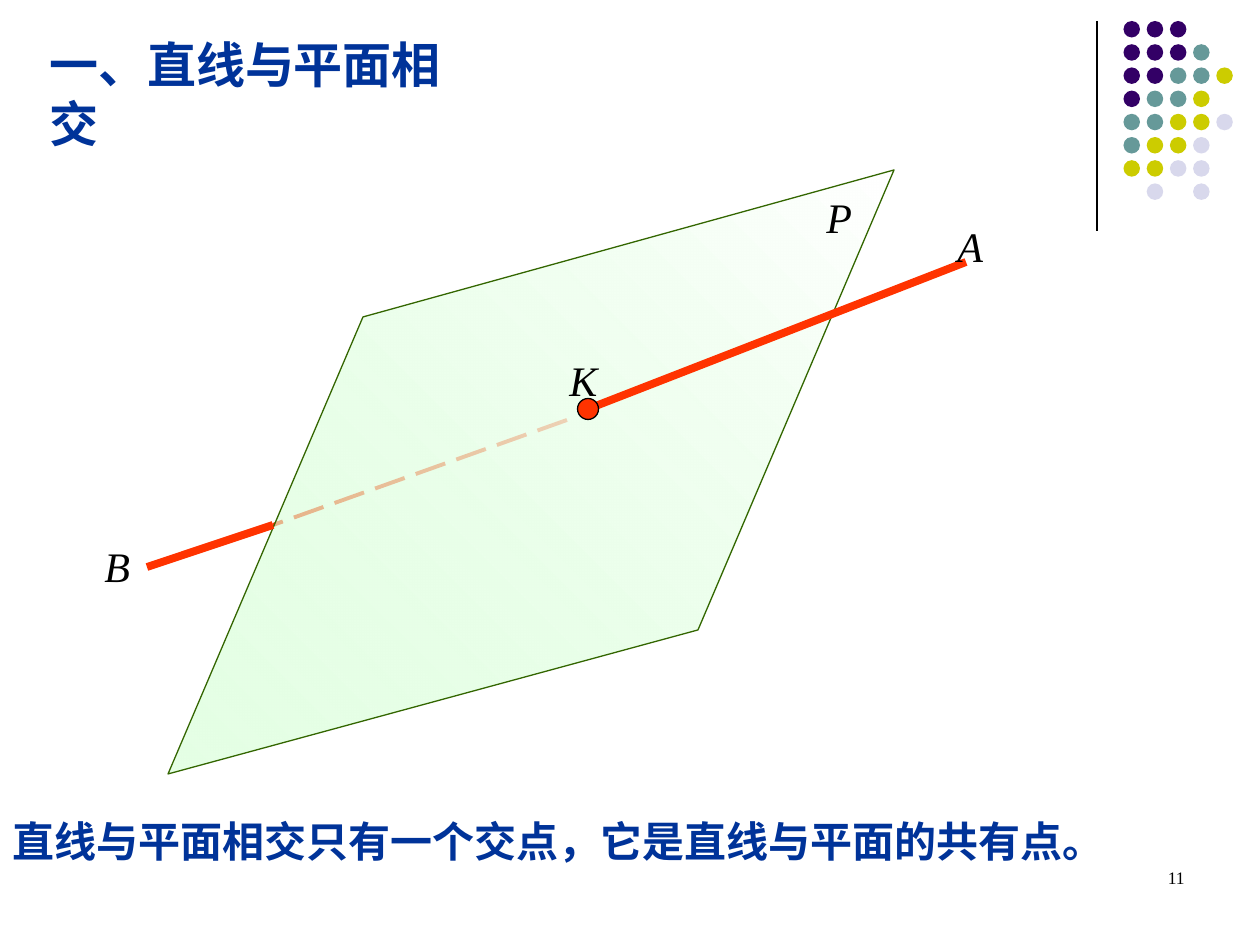
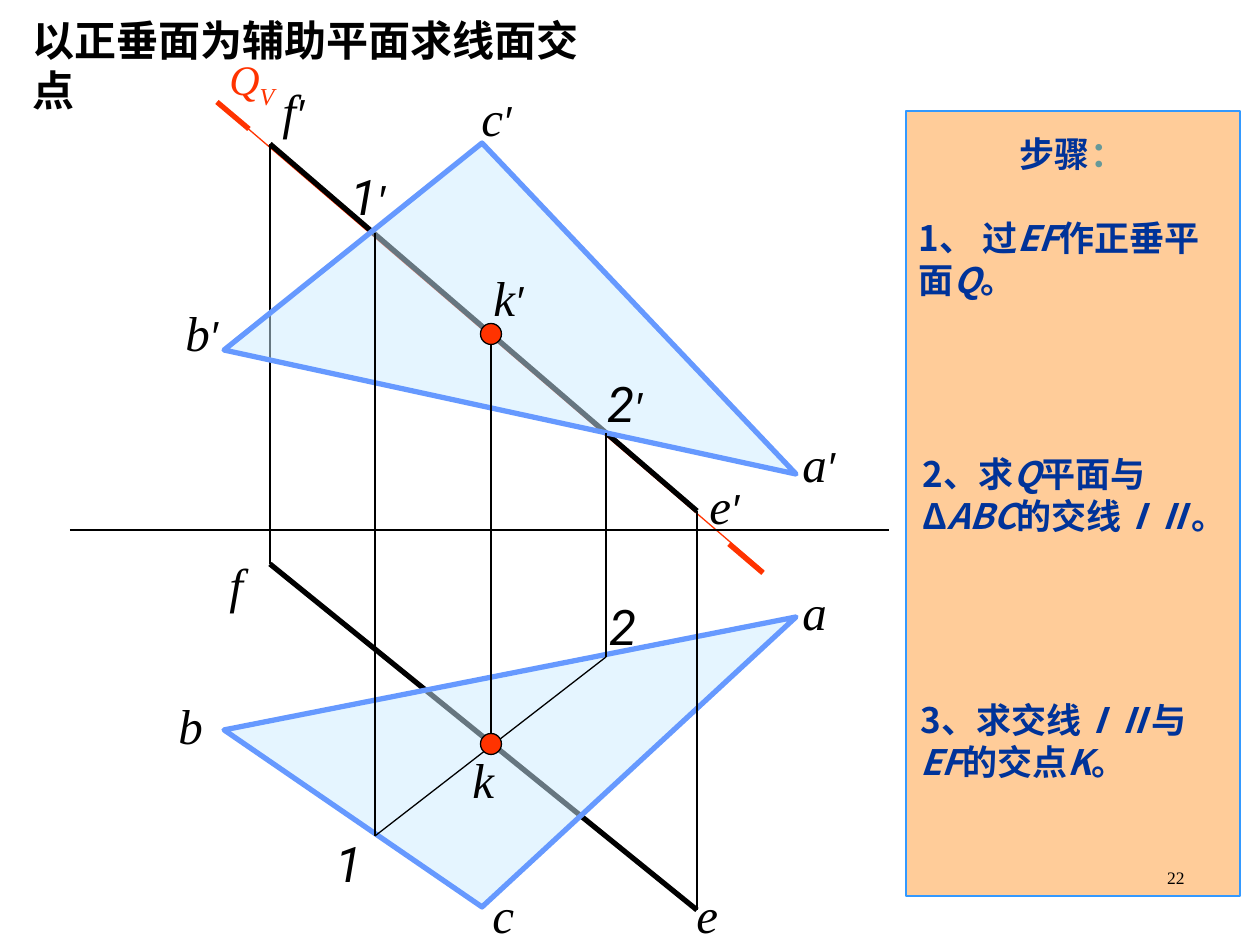
from dataclasses import dataclass, replace

from lxml import etree
from pptx import Presentation
from pptx.dml.color import RGBColor
from pptx.enum.dml import MSO_LINE
from pptx.enum.shapes import MSO_CONNECTOR, MSO_SHAPE
from pptx.enum.text import PP_ALIGN
from pptx.oxml.ns import qn
from pptx.util import Emu, Pt

STRAIGHT = MSO_CONNECTOR.STRAIGHT
ELLIPSE, RECTANGLE = MSO_SHAPE.OVAL, MSO_SHAPE.RECTANGLE
LONG_DASH = MSO_LINE.LONG_DASH
CENTER, RIGHT = PP_ALIGN.CENTER, PP_ALIGN.RIGHT

EMU_PER_PX = 914400 / 126
BLACK, NAVY, RED, BLUE = "000000", "003399", "FF3300", "6699FF"
TEAL, PALE_BLUE = "669999", "CCECFF"
SERIF, SANS, DIGITS, CHINESE = "Times New Roman", "Arial", "Roboto", "Noto Sans CJK SC"


@dataclass(frozen=True)
class Style:
    size: int
    font: str = SERIF
    color: str = BLACK
    bold: bool = False
    italic: bool = False


POINT = Style(28, italic=True)
NUMERAL = replace(POINT, font=DIGITS)
PRIME = Style(24, SANS, italic=True)
SPACE_LABEL = Style(24, italic=True)
STEP = Style(20, CHINESE, NAVY, bold=True)


def px(length):
    return Emu(round(length * EMU_PER_PX))


def rgb(color):
    return RGBColor.from_string(color)


# Text
def add_spans(para, spans):
    for text, style in spans:
        span = para.add_run()
        span.text = text
        font = span.font
        font.size, font.name = Pt(style.size), style.font
        font.bold, font.italic = style.bold, style.italic
        font.color.rgb = rgb(style.color)
        east_asian = etree.Element(qn("a:ea"), typeface=CHINESE)
        font._element.find(qn("a:latin")).addnext(east_asian)


def add_text(page, left, top, width, height, spans, align=None, wrap=True):
    box = page.shapes.add_textbox(px(left), px(top), px(width), px(height))
    box.text_frame.word_wrap = wrap
    para = box.text_frame.paragraphs[0]
    para.alignment = align
    add_spans(para, spans)
    return box


def step_spans(text):
    """Split at asterisks; every second part is italic."""
    return [(part, replace(STEP, italic=index % 2 == 1))
            for index, part in enumerate(text.split("*"))]


def add_label(page, left, top, text, style=POINT):
    """A point name, with a raised stroke for the vertical projection."""
    spans = [(text[0], style)]
    if len(text) > 1:
        spans.append((text[1:], PRIME))
    return add_text(page, left, top, 95, 72, spans)


def add_page_number(page, number):
    add_text(page, 903, 861, 294, 63, [(number, Style(10))], RIGHT)


# Lines and shapes
def add_line(page, start, end, color=BLACK, weight=0.75, dash=None):
    line = page.shapes.add_connector(STRAIGHT, *map(px, start + end))
    line.line.color.rgb = rgb(color)
    line.line.width = Pt(weight)
    if dash:
        line.line.dash_style = dash
    etree.SubElement(line._element.spPr, qn("a:effectLst"))


def add_figure(page, kind, left, top, width, height, fill, outline=None):
    shape = page.shapes.add_shape(kind, px(left), px(top), px(width), px(height))
    shape.shadow.inherit = False
    shape.fill.solid()
    shape.fill.fore_color.rgb = rgb(fill)
    if outline:
        shape.line.color.rgb = rgb(outline)
        shape.line.width = Pt(0.75)
    else:
        shape.line.fill.background()


def add_point(page, x, y):
    add_figure(page, ELLIPSE, x - 10.5, y - 10.5, 21, 21, RED, BLACK)


def add_polygon(page, corners, outline, weight):
    points = [(px(x), px(y)) for x, y in corners]
    builder = page.shapes.build_freeform(*points[0], scale=1.0)
    builder.add_line_segments(points[1:], close=True)
    shape = builder.convert_to_shape()
    shape.shadow.inherit = False
    shape.line.color.rgb = rgb(outline)
    shape.line.width = Pt(weight)
    return shape


def make_half_clear(color_element):
    etree.SubElement(color_element, qn("a:alpha"), val="50000")


def add_triangle(page, corners):
    shape = add_polygon(page, corners, BLUE, 3)
    shape.fill.solid()
    shape.fill.fore_color.rgb = rgb(PALE_BLUE)
    make_half_clear(shape._element.spPr.find(qn("a:solidFill"))[0])


def add_plane(page, corners):
    shape = add_polygon(page, corners, "336600", 0.75)
    shape.fill.gradient()
    shape.fill.gradient_angle = 225
    for stop, color, position in zip(shape.fill.gradient_stops, ("FFFFFF", "CCFFCC"), (0, 1)):
        stop.color.rgb = rgb(color)
        stop.position = position
    make_half_clear(shape._element.spPr.findall(".//" + qn("a:srgbClr"))[1])


def add_dot_ornament(page):
    colors = {"P": "330066", "T": TEAL, "Y": "CCCC00", "L": "D8D8EC"}
    rows = ["PPP", "PPPT", "PPTTY", "PTTY", "TTYYL", "TYYL", "YYLL", " L L"]
    add_line(page, (1097, 21), (1097, 231))
    for row, keys in enumerate(rows):
        for column, key in enumerate(keys):
            if key in colors:
                add_figure(page, ELLIPSE, 1123.5 + 23.2 * column, 21 + 23.2 * row,
                           16.5, 16.5, colors[key])


# Slides
def build_intersection(page):
    add_dot_ornament(page)

    # Line AB piercing plane P at K
    add_line(page, (567, 420), (273, 525), RED, 2.25, LONG_DASH)
    add_plane(page, [(363, 317), (168, 774), (698, 630), (894, 170)])
    add_line(page, (273, 525), (147, 567), RED, 4.5)
    add_line(page, (588, 409), (966, 262), RED, 4.5)
    add_point(page, 588, 409)
    for name, left, top in [("P", 814, 185), ("B", 92, 534),
                            ("K", 557, 348), ("A", 945, 214)]:
        add_label(page, left, top, name, SPACE_LABEL)

    # Title and conclusion
    add_text(page, 37, 28, 465, 72,
             [("一、直线与平面相交", Style(28, SANS, NAVY, bold=True))], wrap=False)
    add_text(page, 0, 809, 1260, 63,
             [("直线与平面相交只有一个交点，它是直线与平面的共有点。",
               Style(24, SERIF, NAVY, bold=True))])
    add_page_number(page, "11")


def build_projection(page):
    # Trace of the auxiliary plane Q
    add_line(page, (217, 102), (764, 571), RED)
    add_line(page, (217, 102), (249, 129), RED, 3)
    add_line(page, (763, 573), (729, 544), RED, 3)

    # Line EF under triangle ABC, in both projections
    add_line(page, (270, 144), (697, 511), weight=3)
    add_line(page, (270, 144), (270, 564))
    add_line(page, (270, 564), (697, 910), weight=3)
    add_triangle(page, [(224, 350), (482, 143), (796, 474)])
    add_triangle(page, [(482, 907), (224, 730), (796, 617)])

    # Axis, projectors and intersection line
    add_line(page, (70, 530), (889, 530))
    add_line(page, (375, 836), (606, 657))
    for x, top, bottom in [(697, 511, 910), (491, 334, 745),
                           (606, 433, 657), (375, 233, 836)]:
        add_line(page, (x, top), (x, bottom))
    for y in (744, 334):
        add_point(page, 491, y)

    # Point names
    for name, left, top in [
        ("f′", 270, 74), ("e′", 697, 469), ("e", 684, 878), ("f", 217, 548),
        ("b", 166, 689), ("a′", 790, 427), ("a", 790, 575), ("c", 480, 878),
        ("b′", 173, 296), ("c′", 469, 81), ("k", 460, 743), ("k′", 481, 261),
    ]:
        add_label(page, left, top, name)
    for name, left, top in [("1′", 338, 160), ("2′", 595, 367),
                            ("2", 597, 590), ("1", 323, 827)]:
        add_label(page, left, top, name, NUMERAL)
    trace = replace(SPACE_LABEL, color=RED)
    box = add_text(page, 217, 47, 95, 71, [("Q", trace), ("V", trace)])
    box.text_frame.paragraphs[0].runs[1].font._element.set("baseline", "-25000")

    # Steps panel
    add_figure(page, RECTANGLE, 906, 111, 334, 785, "FFCC99", "3399FF")
    box = add_text(page, 906, 126, 333, 181,
                   [("步骤", STEP), ("：", replace(STEP, color=TEAL))], CENTER)
    para = box.text_frame.add_paragraph()
    para.space_before = Pt(24)
    add_spans(para, step_spans("1、 过*EF*作正垂平面*Q*。"))
    add_text(page, 910, 446, 329, 97, step_spans("2、求*Q*平面与Δ*ABC*的交线*ⅠⅡ*。"))
    add_text(page, 908, 692, 325, 97, step_spans("3、求交线*ⅠⅡ*与*EF*的交点*K*。"))

    add_text(page, 20, 8, 612, 63,
             [("以正垂面为辅助平面求线面交点", Style(24, SANS, bold=True))], wrap=False)
    add_page_number(page, "22")


def main():
    deck = Presentation()
    deck.slide_width, deck.slide_height = px(1260), px(945)
    for build in (build_intersection, build_projection):
        build(deck.slides.add_slide(deck.slide_layouts[6]))
    deck.save("out.pptx")


if __name__ == "__main__":
    main()
